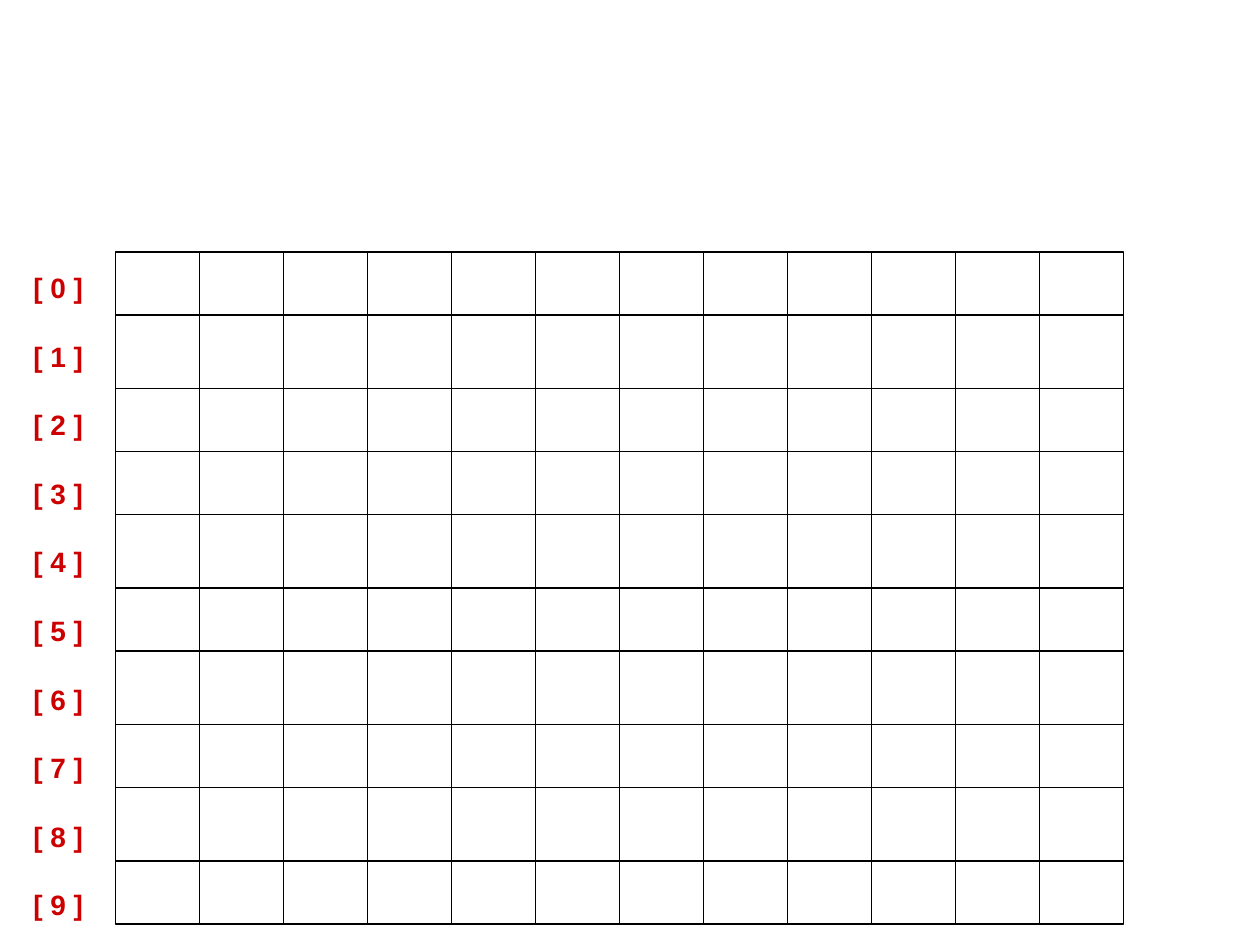
"""Build a slide with an empty grid of twelve columns and ten indexed rows."""
from dataclasses import dataclass
from itertools import accumulate

from lxml.etree import SubElement
from pptx import Presentation
from pptx.dml.color import RGBColor
from pptx.enum.shapes import MSO_CONNECTOR, MSO_SHAPE
from pptx.enum.text import MSO_AUTO_SIZE
from pptx.oxml.ns import qn
from pptx.util import Pt

GRID_LEFT, GRID_TOP = 66, 144
COLUMN_WIDTH, COLUMN_COUNT = 48, 12
ROW_HEIGHTS = (36, 42, 36, 36, 42, 36, 42, 36, 42, 36)
LINE_COLOR, LABEL_COLOR = "000000", "CC0000"


@dataclass(frozen=True)
class Column:
    left: float
    top: float
    width: float
    row_heights: tuple[float, ...]

    @property
    def height(self) -> float:
        return sum(self.row_heights)

    @property
    def dividers(self) -> list[float]:
        return list(accumulate(self.row_heights, initial=self.top))[1:-1]


def color(value: str) -> RGBColor:
    return RGBColor.from_string(value)


def style_line(line) -> None:
    line.color.rgb = color(LINE_COLOR)
    line.width = Pt(1)


def draw_column(slide, column: Column) -> None:
    group = slide.shapes.add_group_shape()
    frame = group.shapes.add_shape(
        MSO_SHAPE.RECTANGLE, Pt(column.left), Pt(column.top), Pt(column.width), Pt(column.height)
    )
    frame.shadow.inherit = False
    frame.fill.background()
    style_line(frame.line)
    for divider in column.dividers:
        connector = group.shapes.add_connector(
            MSO_CONNECTOR.STRAIGHT,
            Pt(column.left), Pt(divider), Pt(column.left + column.width), Pt(divider),
        )
        style_line(connector.line)
        SubElement(connector._element.spPr, qn("a:effectLst"))
        if divider == column.top + column.height / 2:
            connector.begin_connect(frame, 1)
            connector.end_connect(frame, 3)


def write_text(paragraph, text: str, *, font: str, size: float, fill: str,
               bold: bool = False, space_after: float = 0) -> None:
    run = paragraph.add_run()
    run.text = text
    run.font.name = font
    run.font.size = Pt(size)
    run.font.bold = bold
    run.font.color.rgb = color(fill)
    paragraph.space_after = Pt(space_after)


def draw_row_labels(slide, count: int) -> None:
    text_frame = slide.shapes.add_textbox(Pt(12), Pt(151), Pt(43.2), Pt(373)).text_frame
    text_frame.word_wrap = False
    text_frame.auto_size = MSO_AUTO_SIZE.SHAPE_TO_FIT_TEXT
    for index in range(count):
        paragraph = text_frame.add_paragraph() if index else text_frame.paragraphs[0]
        write_text(paragraph, f"[ {index} ]", font="Arial", size=16, fill=LABEL_COLOR,
                   bold=True, space_after=20 if index < count - 1 else 0)


def main() -> None:
    presentation = Presentation()
    presentation.slide_width, presentation.slide_height = Pt(720), Pt(540)
    slide = presentation.slides.add_slide(presentation.slide_layouts[6])
    for index in range(COLUMN_COUNT):
        left = GRID_LEFT + index * COLUMN_WIDTH
        draw_column(slide, Column(left, GRID_TOP, COLUMN_WIDTH, ROW_HEIGHTS))
    draw_row_labels(slide, len(ROW_HEIGHTS))
    presentation.save("out.pptx")


if __name__ == "__main__":
    main()
